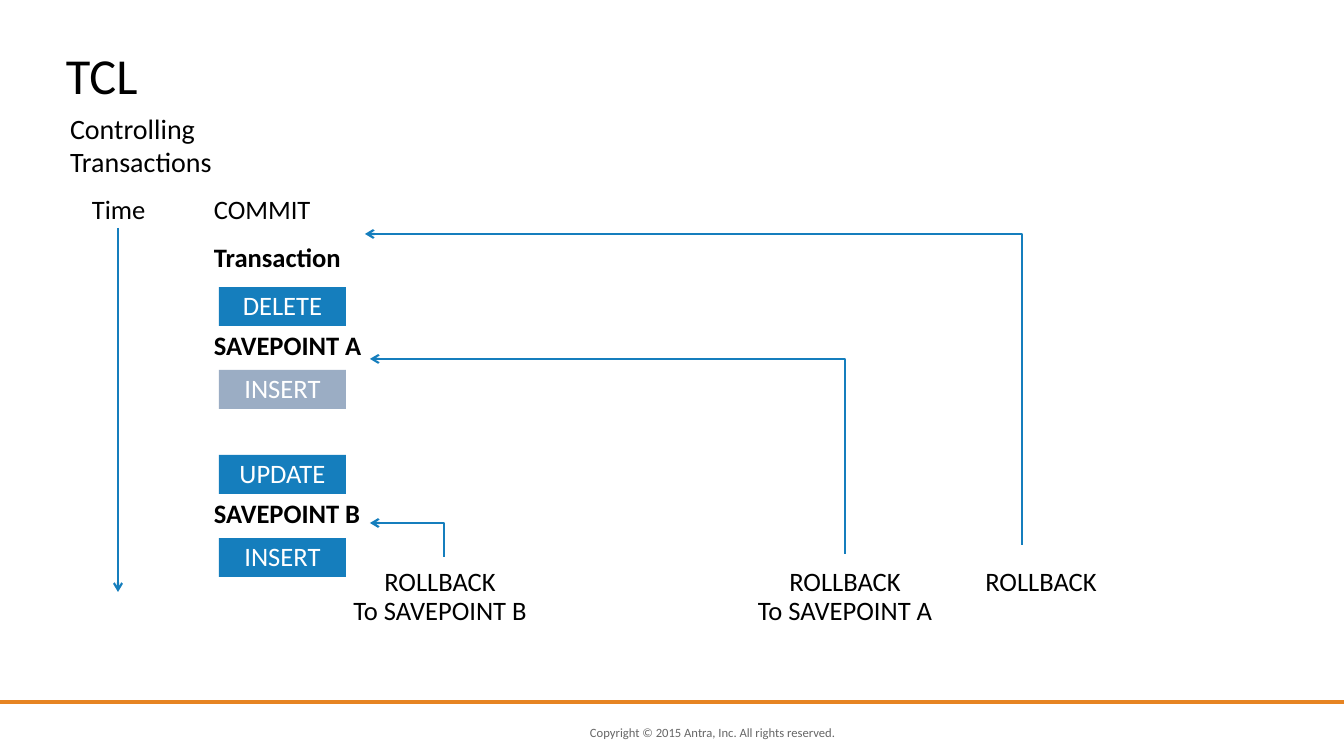
import pptx
import pptx.dml.color
import pptx.enum.shapes
import pptx.enum.text
import pptx.oxml.ns
import pptx.oxml.xmlchemy
import pptx.util

PX = 914400 / 100.8
BLUE, PALE_BLUE, ORANGE = "157EBD", "9BADC4", "E68422"
BLACK, WHITE, GREY = "000000", "FFFFFF", "666666"
ALIGN = pptx.enum.text.PP_ALIGN
ANCHOR = pptx.enum.text.MSO_ANCHOR
CONNECTOR = pptx.enum.shapes.MSO_CONNECTOR


def emu(*lengths):
    """Turn pixel lengths into EMU."""
    return [pptx.util.Emu(round(length * PX)) for length in lengths]


def write(text, box, fill=None, size=19, color=BLACK, bold=False,
          align=ALIGN.LEFT, anchor=ANCHOR.TOP, spacing=0.9, inset=(0, 0)):
    """Put text in a box of left, top, width, height; a fill makes it a bar."""
    if fill:
        shape = slide.shapes.add_shape(
            pptx.enum.shapes.MSO_SHAPE.RECTANGLE, *emu(*box))
        shape.shadow.inherit = False
        shape.fill.solid()
        shape.fill.fore_color.rgb = pptx.dml.color.RGBColor.from_string(fill)
        shape.line.fill.background()
    else:
        shape = slide.shapes.add_textbox(*emu(*box))
    frame = shape.text_frame
    frame.word_wrap = True
    frame.vertical_anchor = anchor
    frame.margin_left, frame.margin_top = emu(*inset)
    frame.margin_right, frame.margin_bottom = emu(*inset)
    frame.text = text
    for paragraph in frame.paragraphs:
        paragraph.alignment = align
        paragraph.line_spacing = spacing
        paragraph.font.name = "Calibri"
        paragraph.font.size = pptx.util.Pt(size)
        paragraph.font.bold = bold
        paragraph.font.color.rgb = pptx.dml.color.RGBColor.from_string(color)


deck = pptx.Presentation()
deck.slide_width, deck.slide_height = emu(1344, 756)
slide = deck.slides.add_slide(deck.slide_layouts[6])

# Footer and headings
write("Copyright © 2015 Antra, Inc. All rights reserved.", (590, 723, 308, 20),
      size=9, color=GREY, anchor=ANCHOR.MIDDLE, spacing=1.0)
write("", (0, 700, 1344, 4), fill=ORANGE)
write("TCL", (56, 39, 1092, 72), size=36, spacing=1.0, inset=(10, 5))
write("Controlling Transactions", (60, 106, 293, 44),
      size=20, spacing=1.0, inset=(10, 5))

# Timeline of the transaction
write("Time", (92, 197, 66, 28))
write("COMMIT", (214, 197, 185, 28))
for marker, top in (("Transaction", 245), ("SAVEPOINT A", 333), ("SAVEPOINT B", 501)):
    write(marker, (214, top, 185, 28), bold=True)

statements = (("DELETE", 287, BLUE), ("INSERT", 370, PALE_BLUE),
              ("UPDATE", 455, BLUE), ("INSERT", 538, BLUE))
for statement, top, fill in statements:
    write(statement, (219, top, 127, 39), fill=fill, color=WHITE,
          align=ALIGN.CENTER, anchor=ANCHOR.MIDDLE, inset=(10, 5))

# Time arrow and rollback arrows: start x, start y, end x, end y
arrows = (
    (CONNECTOR.STRAIGHT, 118, 228, 118, 592),
    (CONNECTOR.ELBOW, 1022, 545, 365, 234),
    (CONNECTOR.ELBOW, 845, 554, 370, 359),
    (CONNECTOR.ELBOW, 444, 557, 370, 523),
)
for kind, *ends in arrows:
    arrow = slide.shapes.add_connector(kind, *emu(*ends))
    arrow.line.width = pptx.util.Pt(1.5)
    arrow.line.color.rgb = pptx.dml.color.RGBColor.from_string(BLUE)
    properties = arrow._element.spPr
    head = pptx.oxml.xmlchemy.OxmlElement("a:tailEnd")
    head.set("type", "arrow")
    properties.find(pptx.oxml.ns.qn("a:ln")).append(head)
    properties.append(pptx.oxml.xmlchemy.OxmlElement("a:effectLst"))
    if kind == CONNECTOR.ELBOW:
        # Bend at the start: straight up, then left
        bend = pptx.oxml.xmlchemy.OxmlElement("a:gd")
        bend.set("name", "adj1")
        bend.set("fmla", "val 0")
        geometry = properties.find(pptx.oxml.ns.qn("a:prstGeom"))
        geometry.get_or_add_avLst().append(bend)

# Rollback captions
captions = (("ROLLBACK\nTo SAVEPOINT B", 351), ("ROLLBACK\nTo SAVEPOINT A", 756),
            ("ROLLBACK", 952))
for caption, left in captions:
    write(caption, (left, 569, 178, 56), align=ALIGN.CENTER)

deck.save("out.pptx")
